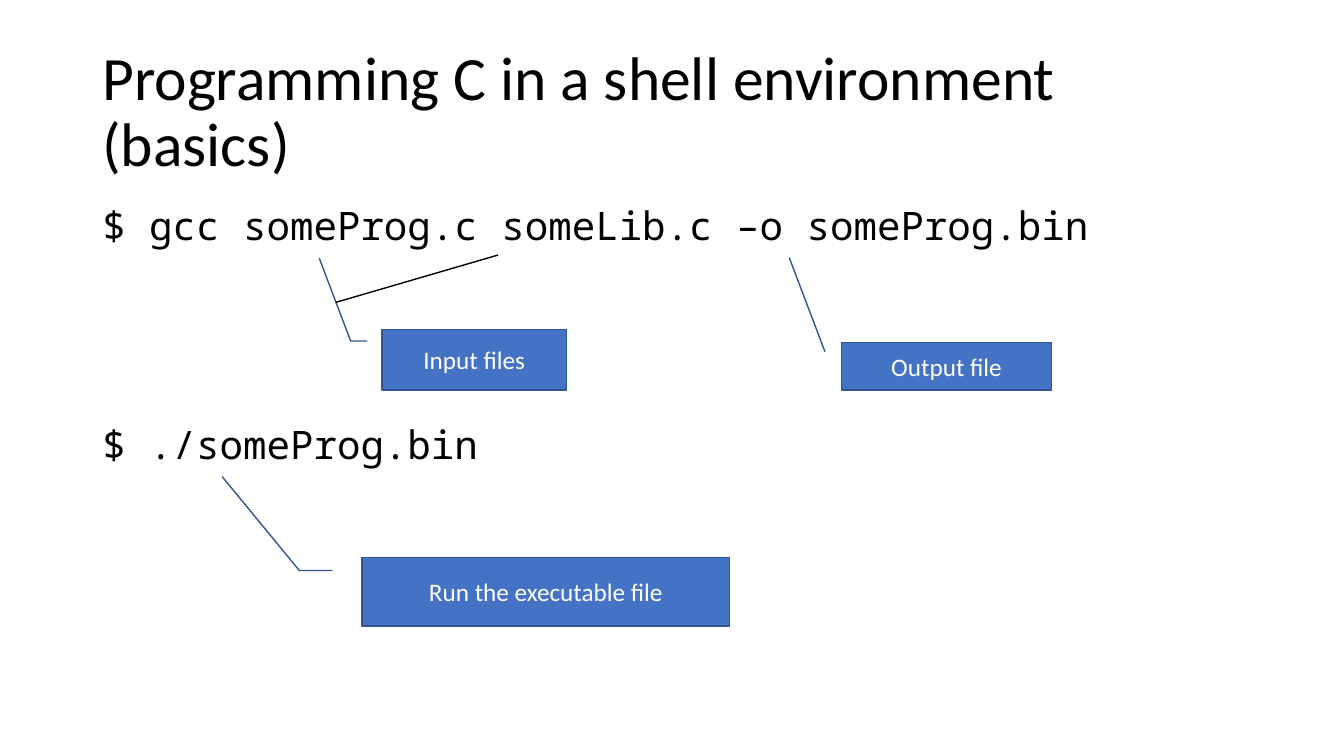
from lxml import etree
from pptx import Presentation
from pptx.dml.color import RGBColor
from pptx.enum import shapes, text
from pptx.oxml.ns import qn
from pptx.util import Pt

BLACK, WHITE, BLUE, DARK_BLUE = "000000", "FFFFFF", "4472C4", "325491"
SANS, MONO = "Calibri", "Noto Sans Mono"
ONE_BEND = shapes.MSO_SHAPE.LINE_CALLOUT_2
STRAIGHT = shapes.MSO_SHAPE.LINE_CALLOUT_1


def color(hex_value):
    return RGBColor.from_string(hex_value)


def add_run(p, words, size, font, hex_value):
    r = p.add_run()
    r.text = words
    r.font.size = Pt(size)
    r.font.name = font
    r.font.color.rgb = color(hex_value)


def text_block(s, box, lines, size, font, anchor, gap=0):
    """Left-aligned lines, with a gap in points between them."""
    tf = s.shapes.add_textbox(*map(Pt, box)).text_frame
    tf.word_wrap = True
    tf.vertical_anchor = anchor
    for i, line in enumerate(lines):
        p = tf.add_paragraph() if i else tf.paragraphs[0]
        p.line_spacing = 0.9
        p.space_before = Pt(gap if i else 0)
        add_run(p, line, size, font, BLACK)


def callout(s, box, kind, label, leader):
    """Labelled box; leader holds y, x pairs as fractions of the box."""
    sp = s.shapes.add_shape(kind, *map(Pt, box))
    for i, value in enumerate(leader):
        sp.adjustments[i] = value
    sp.shadow.inherit = False
    sp.fill.solid()
    sp.fill.fore_color.rgb = color(BLUE)
    sp.line.color.rgb = color(DARK_BLUE)
    sp.line.width = Pt(1)
    tf = sp.text_frame
    tf.word_wrap = True
    tf.vertical_anchor = text.MSO_ANCHOR.MIDDLE
    p = tf.paragraphs[0]
    p.alignment = text.PP_ALIGN.CENTER
    add_run(p, label, 18, SANS, WHITE)


def pointer(s, start, end):
    line = s.shapes.add_connector(shapes.MSO_CONNECTOR.STRAIGHT,
                                  *map(Pt, start + end))
    line.line.color.rgb = color(BLACK)
    line.line.width = Pt(1)
    etree.SubElement(line._element.spPr, qn("a:effectLst"))


def command_slide(prs):
    s = prs.slides.add_slide(prs.slide_layouts[6])

    # Title and shell commands
    text_block(s, (66, 28.8, 828, 104.4),
               ["Programming C in a shell environment (basics)"],
               44, SANS, text.MSO_ANCHOR.MIDDLE)
    text_block(s, (66, 144, 828, 342.7),
               ["$ gcc someProg.c someLib.c –o someProg.bin",
                "$ ./someProg.bin"],
               28, MONO, text.MSO_ANCHOR.TOP, gap=126.5)

    # Explanations of the command parts
    elbow = (0.19, -0.08, 0.19, -0.17)
    callout(s, (272.9, 235.4, 131.8, 43.2), ONE_BEND,
            "Input files", elbow + (-1.18, -0.34))
    pointer(s, (239.8, 216), (355.7, 182.2))
    callout(s, (601.2, 244.8, 149.8, 33.8), STRAIGHT,
            "Output file", (0.19, -0.08, -1.8, -0.25))
    callout(s, (258.5, 398.2, 262.8, 49), ONE_BEND,
            "Run the executable file", elbow + (-1.18, -0.38))


def main():
    prs = Presentation()
    prs.slide_width, prs.slide_height = Pt(960), Pt(540)
    command_slide(prs)
    prs.save("out.pptx")


if __name__ == "__main__":
    main()
